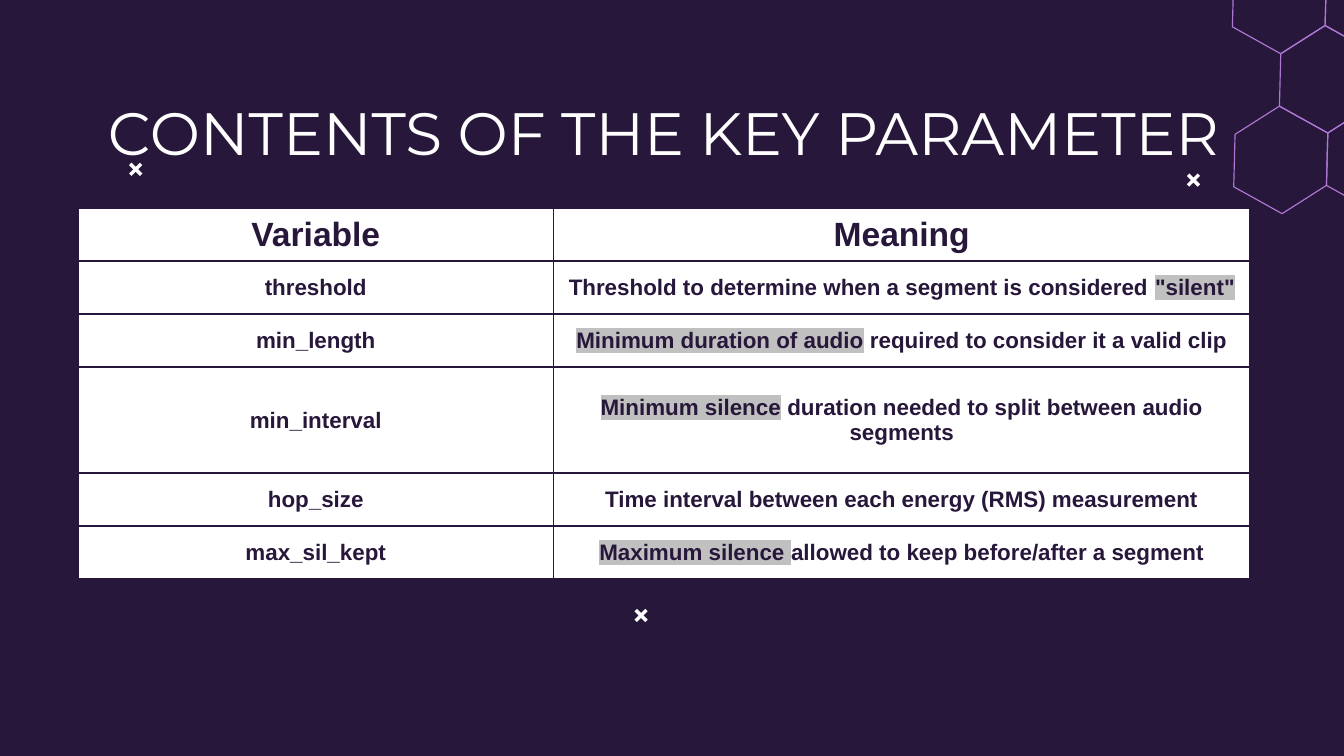
from lxml import etree
from pptx import Presentation
from pptx.dml.color import RGBColor
from pptx.enum import shapes, text
from pptx.oxml import ns
from pptx.util import Inches, Pt

THEME = {
    "dark": "27173A", "light": "FFFFFF", "violet": "AE77D6", "mark": "C0C0C0",
    "title": {"name": "Montserrat", "size": Pt(32)},
    "header": {"name": "Arial", "size": Pt(18), "bold": True},
    "body": {"name": "Arial", "size": Pt(12), "bold": True},
    "hexagon_line": 0.61, "cross_line": 1.84, "border": 1,
}

TITLE = "CONTENTS OF THE KEY PARAMETER"
# Each cell is a list of (wording, highlighted) spans.
ROWS = [
    [[("Variable", False)], [("Meaning", False)]],
    [[("threshold", False)],
     [("Threshold to determine when a segment is considered ", False), ('"silent"', True)]],
    [[("min_length", False)],
     [("Minimum duration of audio", True), (" required to consider it a valid clip", False)]],
    [[("min_interval", False)],
     [("Minimum silence", True), (" duration needed to split between audio segments", False)]],
    [[("hop_size", False)],
     [("Time interval between each energy (RMS) measurement", False)]],
    [[("max_sil_kept", False)],
     [("Maximum silence ", True), ("allowed to keep before/after a segment", False)]],
]
COLUMN_WIDTHS = [3.54, 5.18]
TABLE_HEIGHT = 2.76
ROW_UNITS = [1, 1, 1, 2, 1, 1]

FIRST_HEXAGON = (9.53, 1.19)
HALF_HEXAGON = [(0.35, -0.2), (0.34, 0.19), (0.01, 0.4)]
# Steps (right, up-right) from the first hexagon over the honeycomb.
HONEYCOMB = [(0, 0), (1, 0), (0, 1), (-1, 2), (0, 2)]
CROSSES = [(8.84, 1.3), (4.73, 4.54), (0.97, 1.22)]
CROSS_SIZE = 0.08


def color(name):
    return RGBColor.from_string(THEME[name])


def set_line(line, name, width):
    line.color.rgb = color(name)
    line.width = Pt(width)


def add_span(para, wording, style, color_name, marked=False):
    span = para.add_run()
    span.text = wording
    span.font.color.rgb = color(color_name)
    for key, value in THEME[style].items():
        setattr(span.font, key, value)
    if marked:
        highlight = etree.Element(ns.qn("a:highlight"))
        etree.SubElement(highlight, ns.qn("a:srgbClr"), val=THEME["mark"])
        span.font._element.find(ns.qn("a:solidFill")).addnext(highlight)


def add_hexagon(page, x, y):
    """Outline a slightly tilted hexagon, whose second half mirrors the first."""
    offsets = HALF_HEXAGON + [(-dx, -dy) for dx, dy in HALF_HEXAGON]
    points = [(Inches(x + dx), Inches(y + dy)) for dx, dy in offsets]
    builder = page.shapes.build_freeform(*points[0])
    builder.add_line_segments(points[1:], close=True)
    hexagon = builder.convert_to_shape()
    hexagon.shadow.inherit = False
    hexagon.fill.background()
    set_line(hexagon.line, "violet", THEME["hexagon_line"])


def add_honeycomb(page):
    """Place hexagons so that neighbours share their corners."""
    upper, lower, bottom = HALF_HEXAGON
    for right, up in HONEYCOMB:
        centre = [start + right * (a + b) + up * (a - c)
                  for start, a, b, c in zip(FIRST_HEXAGON, upper, lower, bottom)]
        add_hexagon(page, *centre)


def add_cross(page, x, y):
    top, bottom = y, y + CROSS_SIZE
    for start, end in [(bottom, top), (top, bottom)]:
        stroke = page.shapes.add_connector(
            shapes.MSO_CONNECTOR.STRAIGHT,
            Inches(x), Inches(start), Inches(x + CROSS_SIZE), Inches(end))
        set_line(stroke.line, "light", THEME["cross_line"])
        etree.SubElement(stroke._element.spPr, ns.qn("a:effectLst"))


def add_title(page):
    box = page.shapes.add_textbox(Inches(0.44), Inches(0.61), Inches(9), Inches(0.63))
    frame = box.text_frame
    frame.word_wrap = True
    frame.vertical_anchor = text.MSO_ANCHOR.TOP
    for side in ("left", "right", "top", "bottom"):
        setattr(frame, f"margin_{side}", Inches(0.1))
    para = frame.paragraphs[0]
    para.alignment = text.PP_ALIGN.CENTER
    add_span(para, TITLE, "title", "light")


def format_cell(cell):
    for side in ("left", "right", "top", "bottom"):
        setattr(cell, f"margin_{side}", 0)
    cell.vertical_anchor = text.MSO_ANCHOR.MIDDLE
    properties = cell._tc.get_or_add_tcPr()
    for tag in ("a:lnL", "a:lnR", "a:lnT", "a:lnB"):
        border = etree.SubElement(properties, ns.qn(tag), w=str(Pt(THEME["border"])))
        fill = etree.SubElement(border, ns.qn("a:solidFill"))
        etree.SubElement(fill, ns.qn("a:srgbClr"), val=THEME["dark"])
    cell.fill.solid()
    cell.fill.fore_color.rgb = color("light")


def add_parameter_table(page):
    table = page.shapes.add_table(
        len(ROWS), len(COLUMN_WIDTHS), Inches(0.58), Inches(1.55),
        Inches(sum(COLUMN_WIDTHS)), Inches(TABLE_HEIGHT)).table
    table.first_row = table.horz_banding = False
    for column, width in zip(table.columns, COLUMN_WIDTHS):
        column.width = Inches(width)
    for row, units in zip(table.rows, ROW_UNITS):
        row.height = Inches(TABLE_HEIGHT * units / sum(ROW_UNITS))
    for row_index, row in enumerate(ROWS):
        for column_index, spans in enumerate(row):
            cell = table.cell(row_index, column_index)
            format_cell(cell)
            para = cell.text_frame.paragraphs[0]
            para.alignment = text.PP_ALIGN.CENTER
            for wording, marked in spans:
                add_span(para, wording, "body" if row_index else "header", "dark", marked)


def main():
    deck = Presentation()
    deck.slide_width = Inches(10)
    deck.slide_height = deck.slide_width * 9 // 16
    page = deck.slides.add_slide(deck.slide_layouts[6])
    page.background.fill.solid()
    page.background.fill.fore_color.rgb = color("dark")
    add_honeycomb(page)
    add_title(page)
    for corner in CROSSES:
        add_cross(page, *corner)
    add_parameter_table(page)
    deck.save("out.pptx")


if __name__ == "__main__":
    main()
